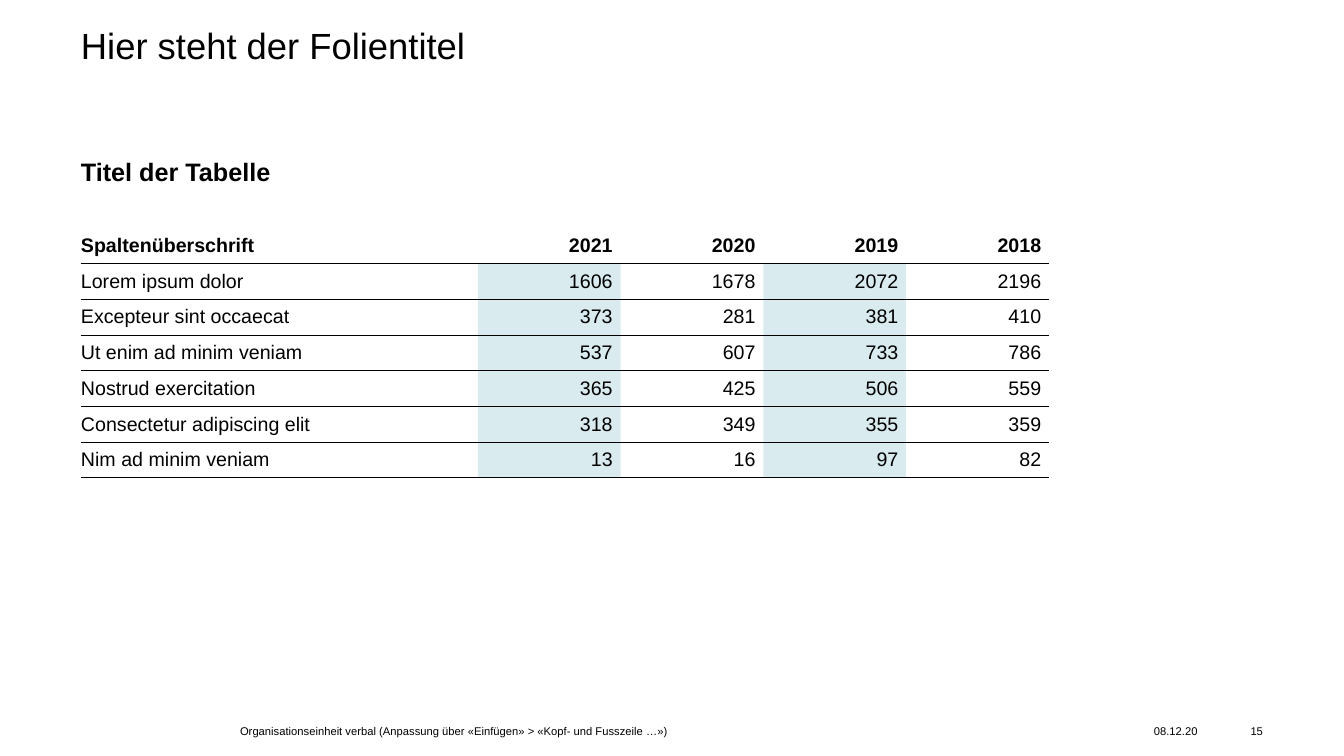
from dataclasses import dataclass

from lxml import etree
from pptx import Presentation
from pptx.dml.color import RGBColor
from pptx.enum.text import MSO_ANCHOR, MSO_AUTO_SIZE, PP_ALIGN
from pptx.oxml.ns import qn
from pptx.util import Cm, Pt

LEFT, RIGHT = PP_ALIGN.LEFT, PP_ALIGN.RIGHT
TOP, MIDDLE = MSO_ANCHOR.TOP, MSO_ANCHOR.MIDDLE
NO_AUTOFIT = MSO_AUTO_SIZE.NONE


@dataclass(frozen=True)
class Theme:
    font: str = "Arial"
    text: str = "000000"
    background: str = "FFFFFF"
    highlight: str = "007A96"
    highlight_opacity: int = 15
    title_size: int = 26
    subtitle_size: int = 18
    table_size: int = 14
    footer_size: int = 8
    header_line: float = 1
    row_line: float = 0.5


THEME = Theme()


def write_text(frame, text, *, size, bold=False, align=LEFT, anchor=TOP, line_spacing=1.0):
    """Fill a text frame with one formatted paragraph and no inner margins."""
    frame.margin_left = frame.margin_right = frame.margin_top = frame.margin_bottom = 0
    frame.word_wrap = True
    frame.auto_size = NO_AUTOFIT
    frame.vertical_anchor = anchor
    paragraph = frame.paragraphs[0]
    paragraph.alignment = align
    paragraph.line_spacing = line_spacing
    run = paragraph.add_run()
    run.text = text
    run.font.name = THEME.font
    run.font.size = Pt(size)
    run.font.bold = bold
    run.font.color.rgb = RGBColor.from_string(THEME.text)


def set_borders(cell, top, bottom):
    """Draw the top and bottom cell lines in points; zero hides a line."""
    properties = cell._tc.get_or_add_tcPr()
    for side, width in (("L", 0), ("R", 0), ("T", top), ("B", bottom)):
        line = etree.SubElement(properties, qn(f"a:ln{side}"), w=str(int(Pt(width))))
        if width:
            fill = etree.SubElement(line, qn("a:solidFill"))
            etree.SubElement(fill, qn("a:srgbClr"), val=THEME.text)
        else:
            etree.SubElement(line, qn("a:noFill"))


presentation = Presentation()
presentation.slide_width = Cm(33.87)
presentation.slide_height = Cm(19.05)
slide = presentation.slides.add_slide(presentation.slide_layouts[5])

margin_left = Cm(2.04)
content_width = Cm(29.79)

title = slide.shapes.title
title.left, title.top, title.width, title.height = margin_left, Cm(0.71), content_width, Cm(2.49)
write_text(title.text_frame, "Hier steht der Folientitel", size=THEME.title_size, line_spacing=0.9)

table_title = slide.shapes.add_textbox(margin_left, Cm(3.94), content_width, Cm(1.09))
write_text(table_title.text_frame, "Titel der Tabelle", size=THEME.subtitle_size, bold=True)

table_rows = [
    ("Spaltenüberschrift", 2021, 2020, 2019, 2018),
    ("Lorem ipsum dolor", 1606, 1678, 2072, 2196),
    ("Excepteur sint occaecat", 373, 281, 381, 410),
    ("Ut enim ad minim veniam", 537, 607, 733, 786),
    ("Nostrud exercitation", 365, 425, 506, 559),
    ("Consectetur adipiscing elit", 318, 349, 355, 359),
    ("Nim ad minim veniam", 13, 16, 97, 82),
]
column_widths = [Cm(10)] + [Cm(3.6)] * 4
row_height = Cm(0.9)
table = slide.shapes.add_table(
    len(table_rows), len(column_widths), margin_left, Cm(5.74),
    sum(column_widths), row_height * len(table_rows),
).table
table.first_row = table.horz_banding = False
for column, width in zip(table.columns, column_widths):
    column.width = width

for row_index, values in enumerate(table_rows):
    table.rows[row_index].height = row_height
    is_header = row_index == 0
    top_line = 0 if is_header else THEME.header_line if row_index == 1 else THEME.row_line
    bottom_line = THEME.header_line if is_header else THEME.row_line
    for column_index, value in enumerate(values):
        cell = table.cell(row_index, column_index)
        write_text(cell.text_frame, str(value), size=THEME.table_size, bold=is_header,
                   align=RIGHT if column_index else LEFT)
        cell.vertical_anchor = MIDDLE
        cell.margin_left = cell.margin_top = cell.margin_bottom = 0
        cell.margin_right = Cm(0.2)
        set_borders(cell, top_line, bottom_line)
        if is_header:
            cell.fill.background()
            continue
        is_highlighted = column_index % 2 == 1
        cell.fill.solid()
        cell.fill.fore_color.rgb = RGBColor.from_string(
            THEME.highlight if is_highlighted else THEME.background)
        if is_highlighted:
            color = cell._tc.tcPr.find(qn("a:solidFill")).find(qn("a:srgbClr"))
            etree.SubElement(color, qn("a:alpha"), val=str(THEME.highlight_opacity * 1000))

footer_items = [
    ("Organisationseinheit verbal (Anpassung über «Einfügen» > «Kopf- und Fusszeile …»)",
     6.05, 15.01, LEFT),
    ("08.12.20", 29.08, 1.7, LEFT),
    ("15", 30.94, 0.89, RIGHT),
]
for text, left, width, align in footer_items:
    footer = slide.shapes.add_textbox(Cm(left), Cm(18.11), Cm(width), Cm(0.61))
    write_text(footer.text_frame, text, size=THEME.footer_size, align=align, anchor=MIDDLE)

presentation.save("out.pptx")
